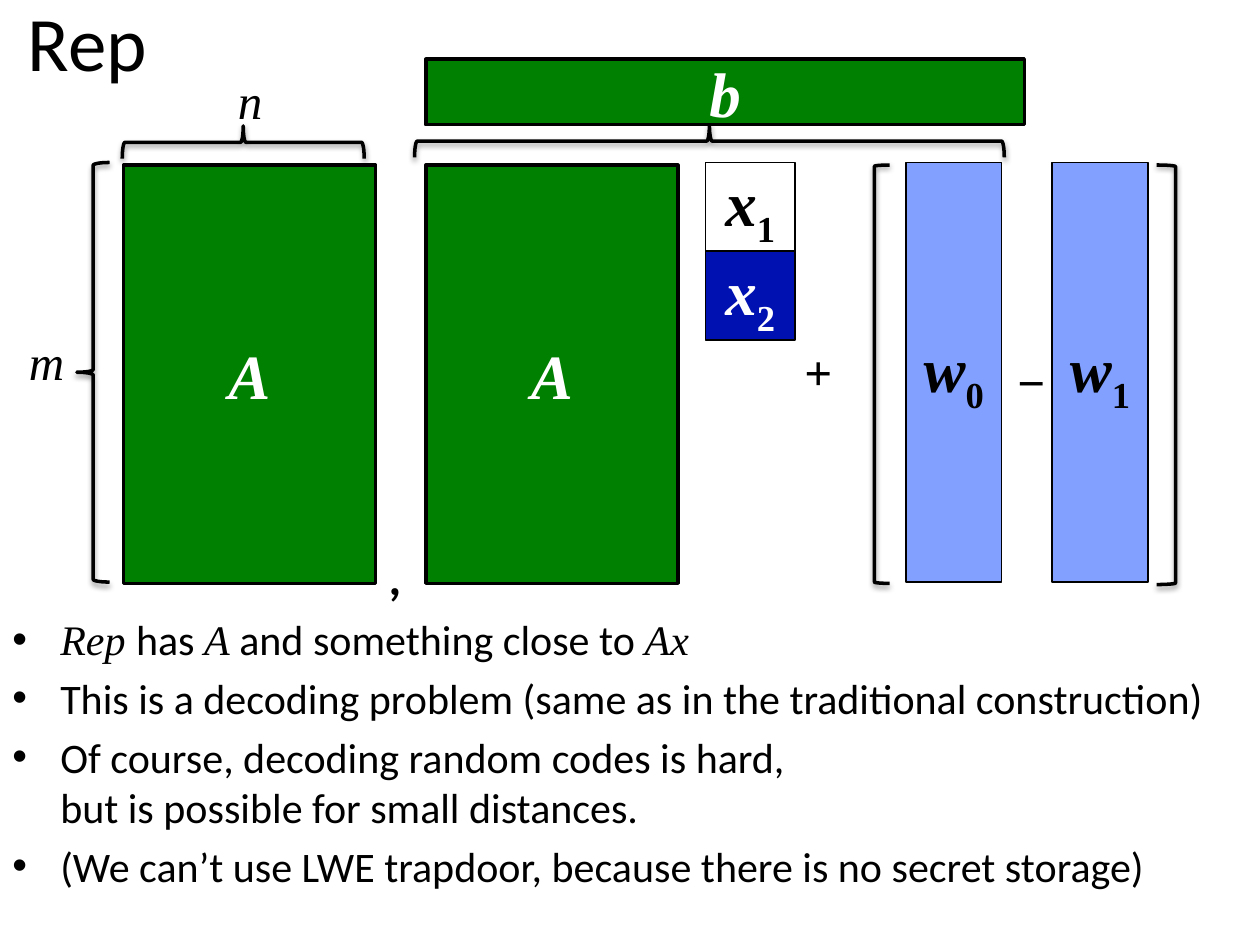
"""Build the slide that states Rep as a decoding problem with matrix blocks."""
from lxml import etree
from pptx import Presentation
from pptx.dml.color import RGBColor
from pptx.enum.shapes import MSO_SHAPE
from pptx.enum.text import MSO_ANCHOR, PP_ALIGN
from pptx.oxml import parse_xml
from pptx.oxml.ns import nsdecls, qn
from pptx.util import Inches, Pt

BLACK = RGBColor(0, 0, 0)
WHITE = RGBColor(255, 255, 255)
GREEN = RGBColor(0x00, 0x80, 0x00)
NAVY = RGBColor(0x00, 0x11, 0xB2)
PERIWINKLE = RGBColor(0x82, 0xA0, 0xFF)
SANS = "Calibri"
SERIF = "Times New Roman"

BULLETS = [
    [("Rep ", True), ("has ", False), ("A", True),
     (" and something close to ", False), ("Ax", True)],
    [("This is a decoding problem (same as in the traditional construction)", False)],
    [("Of course, decoding random codes is hard, \nbut is possible for small distances.", False)],
    [("(We can\u2019t use LWE trapdoor, because there is no secret storage)", False)],
]


def add_run(paragraph, text, size, font=SERIF, color=BLACK, bold=False, italic=False):
    """Append one formatted run and return it."""
    run = paragraph.add_run()
    run.text = text
    run.font.size = Pt(size)
    run.font.name = font
    run.font.color.rgb = color
    run.font.bold = bold
    run.font.italic = italic
    return run


def add_label(slide, box, text, size=28, wrap=False, anchor=MSO_ANCHOR.TOP, **style):
    """Add a centred text box."""
    frame = slide.shapes.add_textbox(*map(Inches, box)).text_frame
    frame.word_wrap = wrap
    frame.vertical_anchor = anchor
    paragraph = frame.paragraphs[0]
    paragraph.alignment = PP_ALIGN.CENTER
    add_run(paragraph, text, size, **style)


def add_block(slide, box, symbol, index="", fill=None, color=WHITE, line=1):
    """Add an outlined block holding a symbol with an optional subscript."""
    block = slide.shapes.add_shape(MSO_SHAPE.RECTANGLE, *map(Inches, box))
    block.shadow.inherit = False
    if fill is None:
        block.fill.background()
    else:
        block.fill.solid()
        block.fill.fore_color.rgb = fill
    block.line.color.rgb = BLACK
    block.line.width = Pt(line)
    frame = block.text_frame
    frame.word_wrap = True
    frame.vertical_anchor = MSO_ANCHOR.MIDDLE
    paragraph = frame.paragraphs[0]
    paragraph.alignment = PP_ALIGN.CENTER
    add_run(paragraph, symbol, 36, color=color, bold=True, italic=True)
    if index:
        subscript = add_run(paragraph, index, 36, color=color, bold=True)
        subscript.font._element.set("baseline", "-25000")


def add_bracket(slide, kind, box, rotation=0):
    """Add a brace or bracket outline with a soft shadow below it."""
    bracket = slide.shapes.add_shape(kind, *map(Inches, box))
    bracket.rotation = rotation
    bracket.fill.background()
    bracket.line.color.rgb = BLACK
    bracket.line.width = Pt(2)
    bracket._element.spPr.append(parse_xml(
        f'<a:effectLst {nsdecls("a")}><a:outerShdw blurRad="39370" dist="20320" '
        'dir="5400000" rotWithShape="0"><a:srgbClr val="000000">'
        '<a:alpha val="38000"/></a:srgbClr></a:outerShdw></a:effectLst>'))


def add_bullets(slide, box, items, size=24):
    """Add a bulleted list whose math terms are set in italic serif."""
    frame = slide.shapes.add_textbox(*map(Inches, box)).text_frame
    frame.word_wrap = True
    for number, item in enumerate(items):
        paragraph = frame.add_paragraph() if number else frame.paragraphs[0]
        paragraph.space_before = Pt(size * 0.2)
        properties = paragraph._p.get_or_add_pPr()
        properties.set("marL", str(Inches(0.38)))
        properties.set("indent", str(Inches(-0.38)))
        etree.SubElement(properties, qn("a:buFont"), typeface="Arial")
        etree.SubElement(properties, qn("a:buChar"), char="\u2022")
        for text, is_math in item:
            for row, part in enumerate(text.split("\n")):
                if row:
                    paragraph.add_line_break()
                add_run(paragraph, part, size, SERIF if is_math else SANS, italic=is_math)


def main():
    """Assemble and save the slide."""
    deck = Presentation()
    deck.slide_width, deck.slide_height = Inches(10), Inches(7.5)
    slide = deck.slides.add_slide(deck.slide_layouts[6])

    add_label(slide, (-0.95, -0.3, 3.29, 1.25), "Rep", 44, True, MSO_ANCHOR.MIDDLE, font=SANS)
    add_bullets(slide, (0, 4.82, 9.81, 2.6), BULLETS)

    add_label(slide, (2.98, 4.29, 0.31, 0.57), ",", font=SANS, bold=True)
    add_label(slide, (6.28, 2.66, 0.43, 0.57), "+", bold=True)
    add_label(slide, (7.97, 2.74, 0.43, 0.57), "\u2212", bold=True)

    add_block(slide, (5.6, 1.29, 0.71, 0.7), "x", "1", color=BLACK)
    add_block(slide, (5.6, 1.99, 0.71, 0.71), "x", "2", NAVY)
    for index, left in enumerate((7.19, 8.35)):
        add_block(slide, (left, 1.29, 0.76, 3.33), "w", str(index), PERIWINKLE, BLACK)

    add_bracket(slide, MSO_SHAPE.LEFT_BRACKET, (6.94, 1.31, 0.12, 3.32))
    add_bracket(slide, MSO_SHAPE.RIGHT_BRACKET, (9.18, 1.31, 0.15, 3.33))
    add_bracket(slide, MSO_SHAPE.LEFT_BRACE, (0.61, 1.29, 0.26, 3.33))
    add_bracket(slide, MSO_SHAPE.LEFT_BRACE, (1.8, 0.17, 0.26, 1.92), 90)
    add_label(slide, (0.06, 2.58, 0.62, 0.57), "m", italic=True)
    add_label(slide, (1.72, 0.51, 0.53, 0.57), "n", italic=True)

    for left in (0.98, 3.38):
        add_block(slide, (left, 1.31, 2, 3.32), "A", fill=GREEN, line=2)
    add_bracket(slide, MSO_SHAPE.LEFT_BRACE, (5.5, -1.22, 0.26, 4.68), 90)
    add_block(slide, (3.38, 0.47, 4.75, 0.52), "b", fill=GREEN, line=2)

    deck.save("out.pptx")


if __name__ == "__main__":
    main()
